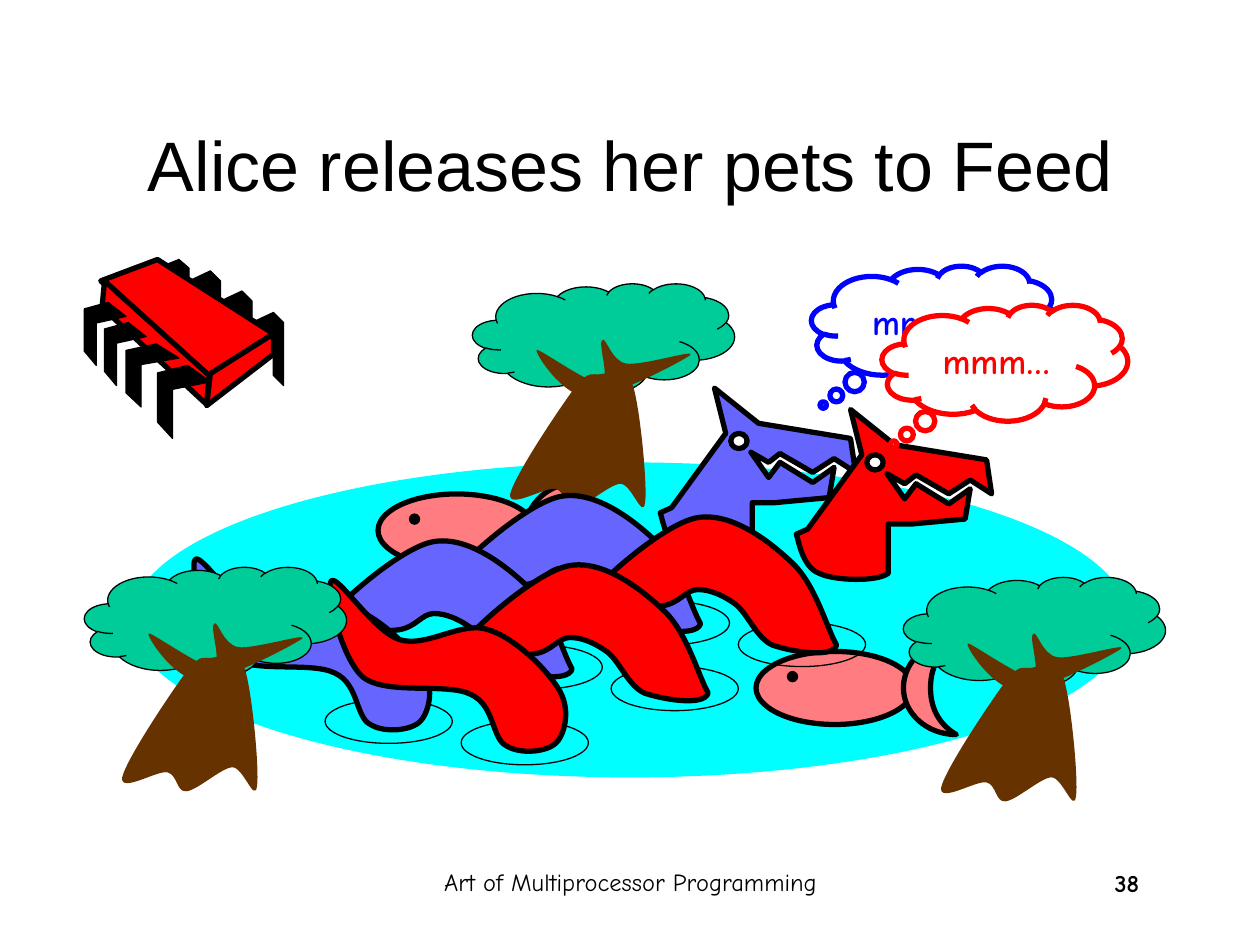
from pptx import Presentation
from pptx.dml.color import RGBColor
from pptx.enum import shapes, text
from pptx.oxml.ns import qn
from pptx.oxml.xmlchemy import OxmlElement
from pptx.util import Inches, Pt

BLACK = RGBColor(0, 0, 0)
WHITE = RGBColor(255, 255, 255)
RED = RGBColor(255, 0, 0)
BLUE = RGBColor(0, 0, 255)
PERIWINKLE = RGBColor(0x66, 0x66, 0xFF)
WATER = RGBColor(0, 255, 255)
PINK = RGBColor(0xFF, 0x7C, 0x80)
LEAVES = RGBColor(0, 0xCC, 0x99)
BARK = RGBColor(0x66, 0x33, 0)
THICK, THIN = 3, 0.75
SANS, HAND = "Arial", "Comic Neue"
OVAL = shapes.MSO_SHAPE.OVAL
CLOUD = shapes.MSO_SHAPE.CLOUD_CALLOUT

# Outlines: a start point, then 2 numbers for a line or 6 for a curve.
# Each is scaled to the box it is drawn in.
FAR_LEG = [(0, 0.08), (0.17, 0), (0.25, 0.08), (0.25, 0.58), (0.17, 0.5), (0.17, 0.17), (0, 0.25)]
NEAR_LEG = [(0.24, 0), (0.42, 0.13), (0.12, 0.19), (0.12, 0.58), (0, 0.45), (0, 0.06)]
CHIP_TOP = [(1.25, 2.06), (2.17, 2.65), (1.65, 2.99), (0.8, 2.23)]
CHIP_SIDE = [(0.83, 2.23), (1.67, 2.98), (1.65, 3.21), (0.81, 2.44)]
CHIP_END = [(2.17, 2.65), (2.17, 2.81), (1.64, 3.21), (1.67, 2.96)]
FISH_TAIL = [
    (4.58, 3.83), (4.48, 3.9, 4.38, 4.01, 4.38, 4.21), (4.38, 4.41, 4.48, 4.52, 4.58, 4.58),
    (4.35, 4.58, 4.17, 4.41, 4.17, 4.21), (4.17, 4, 4.35, 3.83, 4.58, 3.83)]
TRUNK = [
    (4.56, 3.08), (4.68, 2.93, 4.69, 2.98, 4.77, 2.97), (4.84, 2.96, 4.96, 2.88, 5.02, 3.05),
    (5.08, 3.22, 5.14, 3.86, 5.12, 3.99), (5.1, 4.13, 5.01, 3.83, 4.92, 3.84),
    (4.83, 3.85, 4.65, 4.02, 4.56, 4.03), (4.48, 4.04, 4.49, 3.9, 4.41, 3.88),
    (4.33, 3.86, 4.03, 4.05, 4.05, 3.92), (4.08, 3.78, 4.44, 3.24, 4.56, 3.08)]
BRANCHES = [
    (4.26, 2.78), (4.24, 2.8, 4.46, 3.15, 4.66, 3.16), (4.87, 3.17, 5.43, 2.86, 5.48, 2.82),
    (5.53, 2.77, 5.09, 2.91, 4.97, 2.89), (4.85, 2.87, 4.81, 2.67, 4.78, 2.7),
    (4.74, 2.72, 4.85, 3.03, 4.77, 3.05), (4.68, 3.06, 4.27, 2.76, 4.26, 2.78)]
HUMP = [
    (5.56, 4.95), (5.53, 5.06, 5.19, 5, 5.05, 4.95), (4.92, 4.89, 4.85, 4.69, 4.75, 4.62),
    (4.65, 4.55, 4.55, 4.51, 4.46, 4.51), (4.36, 4.51, 4.32, 4.62, 4.17, 4.64),
    (4.02, 4.65, 3.53, 4.72, 3.58, 4.6), (3.62, 4.49, 4.18, 3.99, 4.45, 3.94),
    (4.72, 3.89, 5.02, 4.12, 5.2, 4.29), (5.39, 4.46, 5.48, 4.81, 5.56, 4.95)]
HEAD = [
    (5.33, 4.03), (5.76, 3.44), (5.67, 3.08), (6.02, 3.36), (6.75, 3.48), (6.79, 3.75),
    (6.62, 3.64), (6.45, 3.75), (6.19, 3.6), (6.1, 3.67), (5.96, 3.59), (6.1, 3.79),
    (6.19, 3.67), (6.45, 3.83), (6.62, 3.71), (6.58, 3.95), (6.15, 3.99), (5.97, 3.99),
    (5.97, 4.38), (5.88, 4.45, 5.54, 4.44, 5.42, 4.38), (5.29, 4.33, 5.26, 4.13, 5.24, 4.07)]
TAIL = [
    (1.55, 4.44), (1.6, 4.39, 1.89, 4.85, 2.09, 4.91), (2.3, 4.98, 2.58, 4.76, 2.79, 4.83),
    (3, 4.89, 3.26, 5.15, 3.35, 5.3), (3.45, 5.45, 3.41, 5.65, 3.34, 5.73),
    (3.27, 5.81, 3.05, 5.83, 2.94, 5.76), (2.82, 5.7, 2.85, 5.44, 2.66, 5.35),
    (2.47, 5.25, 1.99, 5.36, 1.8, 5.21), (1.62, 5.05, 1.5, 4.49, 1.55, 4.44)]

FAR_LEGS = [(2, 2.48, 0.25, 0.58), (1.75, 2.31, 0.25, 0.58), (1.5, 2.15, 0.25, 0.58),
            (1.25, 2.06, 0.25, 0.5)]
NEAR_LEGS = [(1.25, 2.9, 0.42, 0.58), (1, 2.73, 0.42, 0.5), (0.83, 2.56, 0.33, 0.5),
             (0.67, 2.4, 0.33, 0.5)]
CHIP_FACES = [(CHIP_TOP, (0.8, 2.06, 1.37, 0.93)), (CHIP_SIDE, (0.81, 2.23, 0.85, 0.98)),
              (CHIP_END, (1.64, 2.65, 0.53, 0.57))]
FISH = [(3, 3.83), (6, 5.08)]
BACK_TREES = [(3.75, 2.25), (7.17, 4.58)]
FRONT_TREE = (0.67, 4.5)
SERPENTS = [  # colour, shift right, shift down, top of the front hump
    (PERIWINKLE, 0, 0, 4.25), (RED, 1.08, 0.17, 4.44)]
RIPPLES = [(3.77, 5.12), (2.58, 5.55), (4.78, 4.77)]


def paint(shape, fill, line=None, width=THIN):
    shape.shadow.inherit = False
    if fill is None:
        shape.fill.background()
    else:
        shape.fill.solid()
        shape.fill.fore_color.rgb = fill
    if line is None:
        shape.line.fill.background()
    else:
        shape.line.color.rgb = line
        shape.line.width = Pt(width)


def preset(parent, kind, box, *colours):
    shape = parent.shapes.add_shape(kind, *map(Inches, box))
    paint(shape, *colours)
    return shape


def outline(parent, segments, box, *colours):
    """Draw segments scaled to box, turning each 6-number segment into a curve."""
    left, top, width, height = box
    xs = [x for seg in segments for x in seg[::2]]
    ys = [y for seg in segments for y in seg[1::2]]
    across, down = width / (max(xs) - min(xs)), height / (max(ys) - min(ys))
    points = [(Inches(left + (x - min(xs)) * across), Inches(top + (y - min(ys)) * down))
              for x, y in zip(xs, ys)]
    builder = parent.shapes.build_freeform(*points[0])
    builder.add_line_segments(points[1:], close=True)
    shape = builder.convert_to_shape()
    trace = shape.element.find(".//" + qn("a:path"))
    lines = iter(trace.findall(qn("a:lnTo")))
    for seg in segments[1:]:
        steps = [next(lines) for _ in range(len(seg) // 2)]
        if len(steps) == 3:
            curve = OxmlElement("a:cubicBezTo")
            steps[0].addprevious(curve)
            for step in steps:
                curve.append(step[0])
                trace.remove(step)
    paint(shape, *colours)


def write(shape, words, font, size, colour, bold=False, align=text.PP_ALIGN.CENTER,
          anchor=text.MSO_ANCHOR.TOP):
    frame = shape.text_frame
    frame.word_wrap = True
    frame.vertical_anchor = anchor
    para = frame.paragraphs[0]
    para.alignment = align
    span = para.add_run()
    span.text = words
    span.font.name, span.font.size, span.font.bold = font, Pt(size), bold
    span.font.color.rgb = colour


def label(page, box, words, **style):
    write(page.shapes.add_textbox(*map(Inches, box)), words, HAND, 14, BLACK, **style)


def thought(page, left, top, colour):
    cloud = preset(page, CLOUD, (left, top, 1.95, 0.92), WHITE, colour, THICK)
    cloud.adjustments[0], cloud.adjustments[1] = -0.452, 0.701
    write(cloud, "mmm…", HAND, 20, colour, bold=True, anchor=text.MSO_ANCHOR.MIDDLE)


def fish(page, left, top):
    group = page.shapes.add_group_shape()
    preset(group, OVAL, (left, top + 0.09, 1.25, 0.58), PINK, BLACK, THICK)
    outline(group, FISH_TAIL, (left + 1.17, top, 0.42, 0.75), PINK, BLACK, THICK)
    preset(group, OVAL, (left + 0.25, top + 0.25, 0.08, 0.08), BLACK, BLACK)


def chip(page):
    group = page.shapes.add_group_shape()
    for box in FAR_LEGS:
        outline(group, FAR_LEG, box, BLACK, BLACK)
    for face, box in CHIP_FACES:
        outline(group, face, box, RED, BLACK, THICK)
    for box in NEAR_LEGS:
        outline(group, NEAR_LEG, box, BLACK, BLACK)


def tree(page, left, top):
    group = page.shapes.add_group_shape()
    crown = preset(group, CLOUD, (left, top, 2.08, 0.87), LEAVES, BLACK)
    crown.adjustments[0], crown.adjustments[1] = 0.018, 0.493
    outline(group, TRUNK, (left + 0.28, top + 0.63, 1.11, 1.25), BARK)
    outline(group, BRANCHES, (left + 0.49, top + 0.42, 1.29, 0.49), BARK)


def serpent(page, colour, right, down, front_top):
    group = page.shapes.add_group_shape()
    skin = (colour, BLACK, THICK)
    for x, y in RIPPLES:
        preset(group, OVAL, (x + right, y + down, 1.01, 0.35), None, BLACK)
    outline(group, HUMP, (3.53 + right, 3.89 + down, 2.03, 1.17), *skin)
    outline(group, HUMP, (2.52 + right, front_top, 2.02, 1.17), *skin)
    outline(group, HEAD, (5.24 + right, 3.08 + down, 1.55, 1.37), *skin)
    preset(group, OVAL, (5.8 + right, 3.44 + down, 0.13, 0.12), WHITE, BLACK, THICK)
    outline(group, TAIL, (1.5 + right, 4.39 + down, 1.95, 1.43), *skin)


def main():
    deck = Presentation()
    deck.slide_width, deck.slide_height = Inches(10), Inches(7.5)
    page = deck.slides.add_slide(deck.slide_layouts[5])
    title = page.shapes.title
    title.left, title.top, title.width, title.height = map(Inches, (0.75, 0.67, 8.5, 1.25))
    write(title, "Alice releases her pets to Feed", SANS, 40, BLACK,
          anchor=text.MSO_ANCHOR.MIDDLE)
    label(page, (7.06, 6.84, 2.08, 0.5), "38", bold=True, align=text.PP_ALIGN.RIGHT)
    thought(page, 6.44, 2.11, BLUE)
    preset(page, OVAL, (1.04, 3.67, 7.92, 2.5), WATER)
    for spot in FISH:
        fish(page, *spot)
    chip(page)
    for spot in BACK_TREES:
        tree(page, *spot)
    for pet in SERPENTS:
        serpent(page, *pet)
    tree(page, *FRONT_TREE)
    thought(page, 7, 2.42, RED)
    label(page, (3.42, 6.83, 3.17, 0.5), "Art of Multiprocessor Programming")
    deck.save("out.pptx")


if __name__ == "__main__":
    main()
